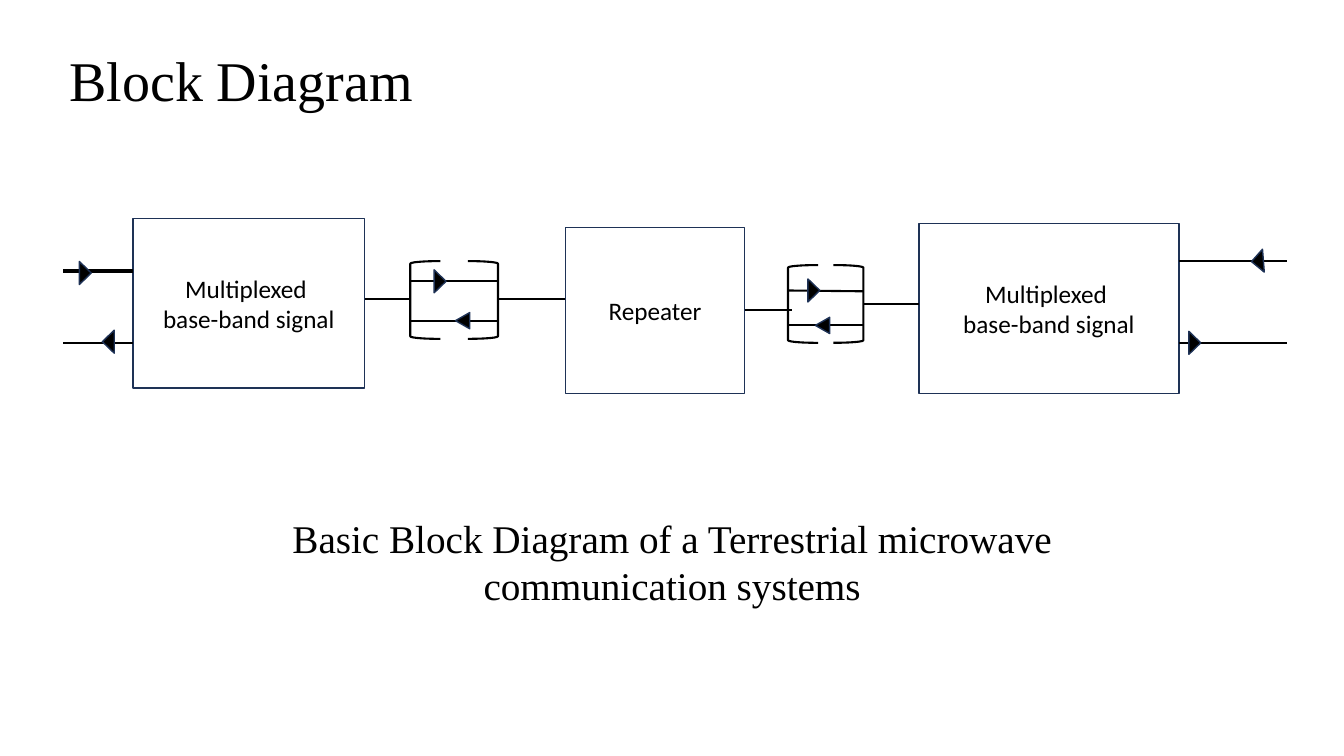
"""Build the block diagram slide of a terrestrial microwave link."""
from dataclasses import dataclass

from lxml import etree
from pptx import Presentation
from pptx import util as u
from pptx.dml.color import RGBColor
from pptx.enum import shapes, text
from pptx.oxml import ns


@dataclass(frozen=True)
class Theme:
    ink: str = "000000"
    paper: str = "FFFFFF"
    outline: str = "1E3256"
    serif: str = "Times New Roman"
    sans: str = "Calibri"
    title_size: float = 40
    caption_size: float = 28
    label_size: float = 18
    outline_width: float = 1
    wire_width: float = 1.5
    input_width: float = 2.25


THEME = Theme()

TITLE = ("Block Diagram", (1.5, 1.02, 11.18, 1.96))
CAPTION = ("Basic Block Diagram of a Terrestrial microwave communication systems",
           (6.63, 12.83, 20.62, 2.64))

SIGNAL = ["Multiplexed ", "base-band signal"]
BLOCKS = [
    (SIGNAL, (3.35, 5.51, 5.84, 4.27)),
    (["Repeater"], (14.25, 5.74, 4.52, 4.17)),
    (SIGNAL, (23.16, 5.64, 6.55, 4.27)),
]

WIRES = [
    ((1.6, 6.83), (3.35, 6.83), THEME.input_width),
    ((1.6, 8.64), (3.35, 8.64), THEME.wire_width),
    ((9.19, 7.54), (10.34, 7.54), THEME.wire_width),
    ((12.55, 7.54), (14.25, 7.54), THEME.wire_width),
    ((18.77, 7.82), (19.96, 7.82), THEME.wire_width),
    ((21.76, 7.65), (23.16, 7.65), THEME.wire_width),
    ((29.71, 6.58), (32.44, 6.58), THEME.wire_width),
    ((29.71, 8.64), (32.44, 8.64), THEME.wire_width),
]

RIGHTWARD, LEFTWARD, TILTED = 90, 270, 265.5
LARGE, SMALL = (0.58, 0.3), (0.41, 0.36)
ARROWS = [
    ((2.15, 6.88), RIGHTWARD),
    ((2.73, 8.61), LEFTWARD),
    ((30.11, 8.64), RIGHTWARD),
    ((31.69, 6.58), TILTED),
]

BRACKET = (0.76, 1.96)
CHANNELS = [
    dict(left=10.34, right=12.55, top=6.58, send=(7.09, 7.09), receive=8.08,
         arrow_offsets=(0.75, 1.32)),
    dict(left=19.86, right=21.76, top=6.68, send=(7.32, 7.34), receive=8.2,
         arrow_offsets=(0.65, 0.87)),
]


def lengths(values):
    return [u.Cm(value) for value in values]


def write(shape, lines, *, font, size, align, anchor=text.MSO_ANCHOR.TOP):
    frame = shape.text_frame
    frame.word_wrap = True
    frame.vertical_anchor = anchor
    for index, line in enumerate(lines):
        paragraph = frame.add_paragraph() if index else frame.paragraphs[0]
        paragraph.alignment = align
        run = paragraph.add_run()
        run.text = line
        run.font.name = font
        run.font.size = u.Pt(size)
        run.font.color.rgb = RGBColor.from_string(THEME.ink)


def add_text(slide, content, box, **style):
    shape = slide.shapes.add_textbox(*lengths(box))
    write(shape, [content], font=THEME.serif, **style)


def add_figure(slide, kind, box, *, fill=None, line=THEME.outline,
               width=THEME.outline_width):
    shape = slide.shapes.add_shape(kind, *lengths(box))
    shape.shadow.inherit = False
    if fill:
        shape.fill.solid()
        shape.fill.fore_color.rgb = RGBColor.from_string(fill)
    else:
        shape.fill.background()
    shape.line.color.rgb = RGBColor.from_string(line)
    shape.line.width = u.Pt(width)
    return shape


def add_wire(slide, start, end, width=THEME.wire_width):
    wire = slide.shapes.add_connector(shapes.MSO_CONNECTOR.STRAIGHT,
                                      *lengths(start + end))
    wire.line.color.rgb = RGBColor.from_string(THEME.ink)
    wire.line.width = u.Pt(width)
    etree.SubElement(wire._element.spPr, ns.qn("a:effectLst"))


def add_arrow(slide, center, rotation, size=LARGE):
    corner = [middle - side / 2 for middle, side in zip(center, size)]
    arrow = add_figure(slide, shapes.MSO_SHAPE.ISOSCELES_TRIANGLE,
                       (*corner, *size), fill=THEME.ink)
    arrow.rotation = rotation


def add_channel(slide, left, right, top, send, receive, arrow_offsets):
    for kind, x in ((shapes.MSO_SHAPE.LEFT_BRACKET, left),
                    (shapes.MSO_SHAPE.RIGHT_BRACKET, right - BRACKET[0])):
        add_figure(slide, kind, (x, top, *BRACKET), line=THEME.ink,
                   width=THEME.wire_width)
    add_wire(slide, (left, send[0]), (right, send[1]))
    add_wire(slide, (left, receive), (right, receive))
    add_arrow(slide, (left + arrow_offsets[0], send[0]), RIGHTWARD)
    add_arrow(slide, (left + arrow_offsets[1], receive), LEFTWARD, SMALL)


def main():
    presentation = Presentation()
    presentation.slide_width, presentation.slide_height = lengths((33.87, 19.05))
    slide = presentation.slides.add_slide(presentation.slide_layouts[6])

    add_text(slide, *CAPTION, size=THEME.caption_size, align=text.PP_ALIGN.CENTER)
    for lines, box in BLOCKS:
        block = add_figure(slide, shapes.MSO_SHAPE.RECTANGLE, box, fill=THEME.paper)
        write(block, lines, font=THEME.sans, size=THEME.label_size,
              align=text.PP_ALIGN.CENTER, anchor=text.MSO_ANCHOR.MIDDLE)
    for wire in WIRES:
        add_wire(slide, *wire)
    for channel in CHANNELS:
        add_channel(slide, **channel)
    for arrow in ARROWS:
        add_arrow(slide, *arrow)
    add_text(slide, *TITLE, size=THEME.title_size, align=text.PP_ALIGN.LEFT)

    presentation.save("out.pptx")


if __name__ == "__main__":
    main()
